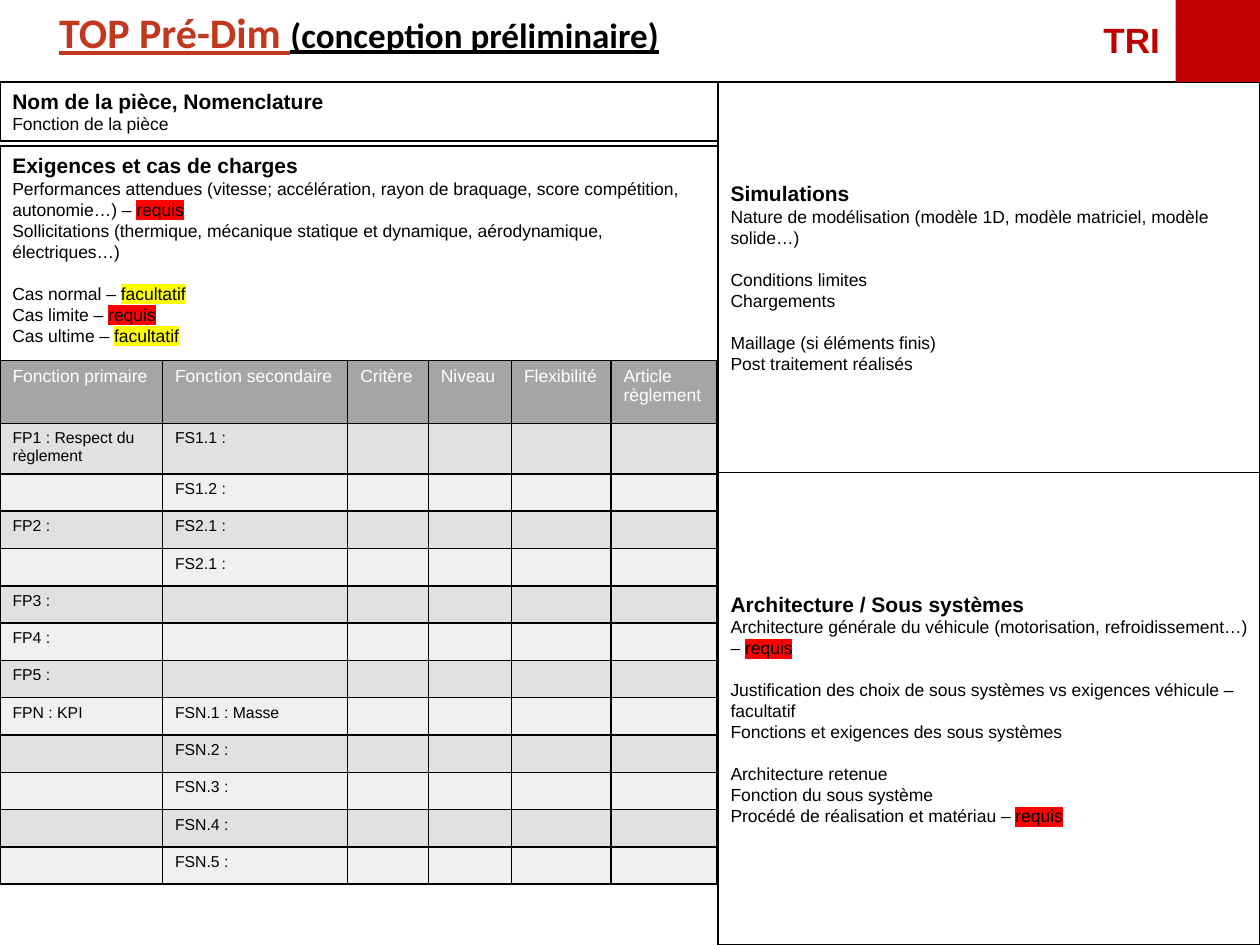
from lxml.etree import SubElement
from pptx import Presentation
from pptx.dml.color import RGBColor as RGB
from pptx.enum.shapes import MSO_SHAPE as Shape
from pptx.enum.text import MSO_ANCHOR as Anchor, MSO_AUTO_SIZE as Fit, PP_ALIGN as Align
from pptx.oxml import parse_xml
from pptx.oxml.ns import nsdecls, qn
from pptx.util import Inches as In, Pt

WIDE, HIGH = 10, 7.5
SPLIT = 0.57 * WIDE   # left and right columns
TOP = 0.65            # height of the header band
MID = HIGH / 2        # split of the right column
GRID = 2.86           # top of the table

HUE = {"ink": "000000", "paper": "FFFFFF", "rust": "C2381E", "red": "C00000",
       "head": "A5A5A5", "odd": "E1E1E1", "even": "F0F0F0"}
MARK = {"requis": "FF0000", "facultatif": "FFFF00"}

HEAD = {"size": Pt(12), "bold": True, "name": "Arial"}
BODY = {"size": Pt(10), "bold": False, "name": "Arial"}
CELL = {"size": Pt(9), "name": "Arial"}
TAG = {"size": Pt(20), "bold": True, "name": "Arial"}
NAME = {"bold": True, "underline": True, "name": "Calibri"}

TITLE = [("TOP Pré-Dim ", 24, "rust"), ("(conception préliminaire)", 20, "ink")]

# box, anchor, heading, blocks of lines; a line is its text and a marked word
PANELS = [
    ((0, TOP, SPLIT, 0.47), Anchor.TOP, "Nom de la pièce, Nomenclature",
     [[("Fonction de la pièce", "")]]),
    ((0, 1.16, SPLIT, 1.9), Anchor.TOP, "Exigences et cas de charges",
     [[("Performances attendues (vitesse; accélération, rayon de braquage, "
        "score compétition, autonomie…) – ", "requis"),
       ("Sollicitations (thermique, mécanique statique et dynamique, "
        "aérodynamique, électriques…)", "")],
      [("Cas normal – ", "facultatif"),
       ("Cas limite – ", "requis"),
       ("Cas ultime – ", "facultatif")]]),
    ((SPLIT, TOP, WIDE - SPLIT, MID - TOP), Anchor.MIDDLE, "Simulations",
     [[("Nature de modélisation (modèle 1D, modèle matriciel, modèle solide…)", "")],
      [("Conditions limites", ""), ("Chargements", "")],
      [("Maillage (si éléments finis)", ""), ("Post traitement réalisés", "")]]),
    ((SPLIT, MID, WIDE - SPLIT, HIGH - MID), Anchor.MIDDLE, "Architecture / Sous systèmes",
     [[("Architecture générale du véhicule (motorisation, refroidissement…) – ", "requis")],
      [("Justification des choix de sous systèmes vs exigences véhicule – facultatif", ""),
       ("Fonctions et exigences des sous systèmes", "")],
      [("Architecture retenue", ""), ("Fonction du sous système", ""),
       ("Procédé de réalisation et matériau – ", "requis")]]),
]

COLS = [("Fonction primaire", 1.29), ("Fonction secondaire", 1.47), ("Critère", 0.64),
        ("Niveau", 0.66), ("Flexibilité", 0.79), ("Article règlement", 0.84)]
ROWS = [("FP1 : Respect du règlement", "FS1.1 :"), ("", "FS1.2 :"),
        ("FP2 :", "FS2.1 :"), ("", "FS2.1 :"), ("FP3 :", ""), ("FP4 :", ""),
        ("FP5 :", ""), ("FPN : KPI", "FSN.1 : Masse"), ("", "FSN.2 :"),
        ("", "FSN.3 :"), ("", "FSN.4 :"), ("", "FSN.5 :")]
FULL = 4.16           # height of the table
FIRST = [0.5, 0.4]    # two-line rows; the others share the rest
REST = len(ROWS) + 1 - len(FIRST)
TALL = FIRST + [(FULL - sum(FIRST)) / REST] * REST


def write(para, text, style, hue="ink", mark=None):
    """Add one run, with a highlight colour if given."""
    run = para.add_run()
    run.text = text
    for key, value in style.items():
        setattr(run.font, key, value)
    run.font.color.rgb = RGB.from_string(HUE[hue])
    if mark:
        run.font.fill._xPr.find(qn("a:solidFill")).addnext(parse_xml(
            f'<a:highlight {nsdecls("a")}><a:srgbClr val="{mark}"/></a:highlight>'))


def block(slide, box, fill=None, line=None):
    shape = slide.shapes.add_shape(Shape.RECTANGLE, *map(In, box))
    shape.shadow.inherit = False
    for part, hue in ((shape.fill, fill), (shape.line.fill, line)):
        if hue:
            part.solid()
            part.fore_color.rgb = RGB.from_string(HUE[hue])
        else:
            part.background()
    if line:
        shape.line.width = Pt(1)
    return shape


def panel(slide, box, anchor, head, blocks):
    frame = block(slide, box, line="ink").text_frame
    frame.word_wrap = True
    frame.vertical_anchor = anchor
    para = frame.paragraphs[0]
    para.alignment = Align.LEFT
    write(para, head, HEAD)
    for b, lines in enumerate(blocks):
        for n, (text, word) in enumerate(lines):
            para = frame.add_paragraph()
            para.alignment = Align.LEFT
            if b and not n:
                para.space_before = Pt(12)
            write(para, text, BODY)
            if word:
                write(para, word, BODY, mark=MARK[word])


def paint(cell, text, style, hue, fill):
    """Fill, frame and label one table cell."""
    cell.fill.solid()
    cell.fill.fore_color.rgb = RGB.from_string(HUE[fill])
    props = cell._tc.get_or_add_tcPr()
    for n, side in enumerate("LRTB"):
        props.insert(n, parse_xml(
            f'<a:ln{side} {nsdecls("a")} w="12700"><a:solidFill>'
            f'<a:srgbClr val="{HUE["ink"]}"/></a:solidFill></a:ln{side}>'))
    para = cell.text_frame.paragraphs[0]
    if text:
        write(para, text, style, hue)
    else:
        SubElement(para._p, qn("a:endParaRPr"), sz=str(int(style["size"].pt * 100)))


def grid(slide):
    table = slide.shapes.add_table(len(TALL), len(COLS), 0, In(GRID),
                                   In(SPLIT), In(FULL)).table
    for col, (text, width) in zip(table.columns, COLS):
        col.width = In(width)
    for row, tall in zip(table.rows, TALL):
        row.height = In(tall)
    for c, (text, width) in enumerate(COLS):
        paint(table.cell(0, c), text, BODY, "paper", "head")
        for r, row in enumerate(ROWS, 1):
            paint(table.cell(r, c), row[c] if c < len(row) else "", CELL, "ink",
                  "odd" if r % 2 else "even")


def main():
    deck = Presentation()
    deck.slide_width, deck.slide_height = In(WIDE), In(HIGH)
    slide = deck.slides.add_slide(deck.slide_layouts[5])

    title = slide.shapes.title
    title.left, title.top, title.width, title.height = map(In, (0, 0, SPLIT, 0.5))
    frame = title.text_frame
    frame.auto_size, frame.vertical_anchor = Fit.NONE, Anchor.TOP
    frame.paragraphs[0].alignment = Align.CENTER
    for text, size, hue in TITLE:
        write(frame.paragraphs[0], text, {**NAME, "size": Pt(size)}, hue)

    for item in PANELS:
        panel(slide, *item)

    side = 0.67
    tag = slide.shapes.add_textbox(*map(In, (WIDE - 2 * side, 0.1, side, 0.44))).text_frame
    tag.word_wrap = True
    write(tag.paragraphs[0], "TRI", TAG, "red")
    block(slide, (WIDE - side, 0, side, TOP), fill="red")
    grid(slide)
    deck.save("out.pptx")


if __name__ == "__main__":
    main()
